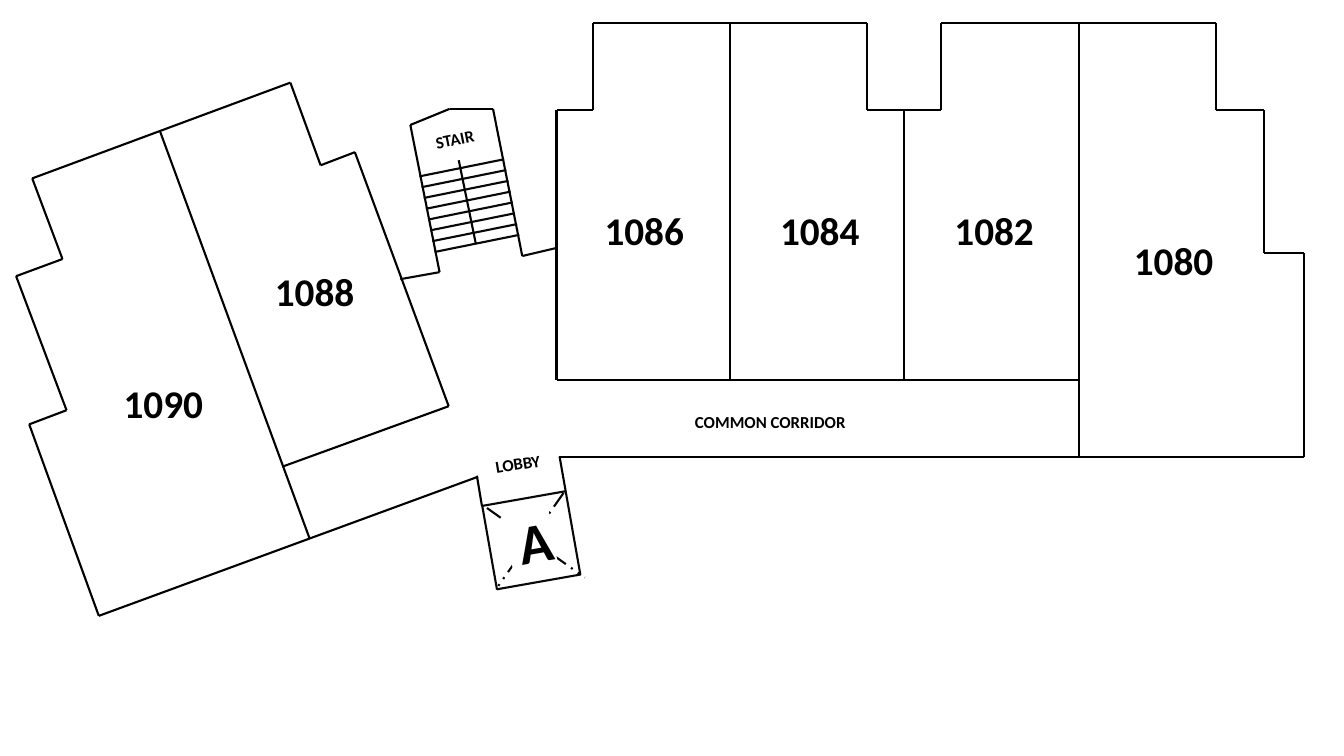
from dataclasses import dataclass
from itertools import pairwise

from lxml.etree import SubElement
from pptx import Presentation
from pptx.dml.color import RGBColor
from pptx.enum.dml import MSO_LINE
from pptx.enum.shapes import MSO_CONNECTOR, MSO_SHAPE
from pptx.enum.text import MSO_ANCHOR, MSO_AUTO_SIZE, PP_ALIGN
from pptx.oxml.ns import qn
from pptx.util import Inches, Pt


@dataclass(frozen=True)
class Theme:
    font: str = "Calibri"
    wall: RGBColor = RGBColor(0x00, 0x00, 0x00)
    detail: RGBColor = RGBColor(0x08, 0x08, 0x08)
    paper: RGBColor = RGBColor(0xFF, 0xFF, 0xFF)
    line: Pt = Pt(1.5)
    lift_size: Pt = Pt(40)
    unit_size: Pt = Pt(28)
    room_size: Pt = Pt(12)


@dataclass(frozen=True)
class Box:
    left: float
    top: float
    width: float
    height: float

    def inner(self, left, top, width, height):
        """Return the box lying at an offset from this one."""
        return Box(self.left + left, self.top + top, width, height)

    def lengths(self):
        return [Inches(n) for n in (self.left, self.top, self.width, self.height)]


THEME = Theme()
UNIT_LABEL = (1.12, 0.57)


def add_walls(slide, box, points, color=THEME.wall, dash=None):
    """Join the points, given from the corner of the box, with straight lines."""
    for start, end in pairwise(points):
        connector = slide.shapes.add_connector(
            MSO_CONNECTOR.STRAIGHT,
            Inches(box.left + start[0]), Inches(box.top + start[1]),
            Inches(box.left + end[0]), Inches(box.top + end[1]))
        connector.line.color.rgb = color
        connector.line.width = THEME.line
        if dash:
            connector.line.dash_style = dash
        SubElement(connector._element.spPr, qn("a:effectLst"))


def write_label(shape, text, size):
    paragraph = shape.text_frame.paragraphs[0]
    paragraph.text = text
    paragraph.alignment = PP_ALIGN.CENTER
    paragraph.font.name = THEME.font
    paragraph.font.size = size
    paragraph.font.bold = True
    paragraph.font.color.rgb = THEME.wall


def add_label(slide, box, text, size=THEME.room_size, rotation=0, wrap=True):
    label = slide.shapes.add_textbox(*box.lengths())
    label.rotation = rotation
    label.text_frame.word_wrap = wrap
    label.text_frame.auto_size = MSO_AUTO_SIZE.SHAPE_TO_FIT_TEXT
    write_label(label, text, size)


def add_units(slide, box, units):
    for number, left, top in units:
        add_label(slide, box.inner(left, top, *UNIT_LABEL), number, THEME.unit_size)


def add_rectangle(slide, box, rotation):
    rectangle = slide.shapes.add_shape(MSO_SHAPE.RECTANGLE, *box.lengths())
    rectangle.rotation = rotation
    rectangle.shadow.inherit = False
    return rectangle


def draw_east_wing(slide, box):
    right, bottom = box.width, box.height
    step, corridor, end_wall = 0.86, 3.54, 5.18
    add_walls(slide, box, [
        (0.02, bottom), (right, bottom), (right, 2.28), (7.02, 2.28),
        (7.02, step), (6.54, step), (6.54, 0), (3.81, 0), (3.81, step),
        (3.08, step), (3.08, 0), (0.36, 0), (0.36, step), (0, step),
        (0, corridor), (end_wall, corridor)])
    for x, top, foot in [(1.72, 0, corridor), (3.45, step, corridor),
                         (end_wall, 0, bottom)]:
        add_walls(slide, box, [(x, top), (x, foot)])
    add_units(slide, box, [("1086", 0.31, 1.77), ("1084", 2.05, 1.77),
                           ("1082", 3.78, 1.77), ("1080", 5.56, 2.07)])
    add_label(slide, box.inner(1.26, 3.81, 1.72, 0.3), "COMMON CORRIDOR")


def draw_west_wing(slide, box):
    add_walls(slide, box, [
        (box.width, 3.91), (0.82, box.height), (0.13, 3.39), (0.5, 3.25),
        (0, 1.92), (0.46, 1.75), (0.16, 0.95), (2.72, 0), (3.02, 0.82),
        (3.36, 0.69), (4.29, 3.21), (2.64, 3.81)])
    add_walls(slide, box, [(1.43, 0.49), (2.91, 4.52)])
    add_units(slide, box, [("1088", 2.4, 1.78), ("1090", 0.9, 2.89)])


def draw_stair(slide, box):
    left_foot, right_foot = (0.39, 1.62), (1.21, 1.46)
    add_walls(slide, box, [left_foot, (0.1, 0.16), (0.49, 0), (0.92, 0), right_foot])
    add_walls(slide, box, [(0, box.height), left_foot], THEME.detail)
    add_walls(slide, box, [right_foot, (box.width, 1.38)], THEME.detail)
    tread_count, run, rise = 8, 0.15, 0.75
    for tread in range(tread_count):
        share = tread / (tread_count - 1)
        x, y = run * share, rise * share
        add_walls(slide, box, [(1.03 + x, 0.5 + y), (0.19 + x, 0.67 + y)], THEME.detail)
    add_walls(slide, box, [(0.58, 0.51), (0.75, 1.34)])
    add_label(slide, box.inner(0.22, 0.15, 0.64, 0.3), "STAIR", rotation=-11.6)


def draw_lobby(slide, box):
    """Draw the lobby with its lift, crossed by two dashed diagonals."""
    tilt = -10
    lift = add_rectangle(slide, box.inner(0.12, 0.49, 0.84, 0.84), tilt)
    lift.fill.background()
    lift.line.color.rgb = THEME.detail
    lift.line.width = THEME.line
    for diagonal in ([(0.1, 0.59), (box.width, 1.28)],
                     [(0.86, 0.44), (0.2, box.height)]):
        add_walls(slide, box, diagonal, THEME.detail, MSO_LINE.DASH_DOT_DOT)
    sign = add_rectangle(slide, box.inner(0.31, 0.53, 0.45, 0.77), tilt)
    sign.fill.solid()
    sign.fill.fore_color.rgb = THEME.paper
    sign.line.fill.background()
    sign.text_frame.vertical_anchor = MSO_ANCHOR.MIDDLE
    write_label(sign, "A", THEME.lift_size)
    add_walls(slide, box, [(0.05, 0.57), (0, 0.27)])
    add_walls(slide, box, [(0.88, 0.42), (0.82, 0.08)])
    add_label(slide, box.inner(0.06, 0, 0.69, 0.3), "LOBBY", rotation=-9.4, wrap=False)


def main():
    presentation = Presentation()
    presentation.slide_width = Inches(13.33)
    presentation.slide_height = Inches(7.5)
    slide = presentation.slides.add_slide(presentation.slide_layouts[6])
    draw_east_wing(slide, Box(5.52, 0.23, 7.41, 4.3))
    draw_west_wing(slide, Box(0.16, 0.82, 4.58, 5.29))
    draw_stair(slide, Box(3.97, 1.08, 1.55, 1.69))
    draw_lobby(slide, Box(4.73, 4.45, 1.07, 1.38))
    presentation.save("out.pptx")


if __name__ == "__main__":
    main()
